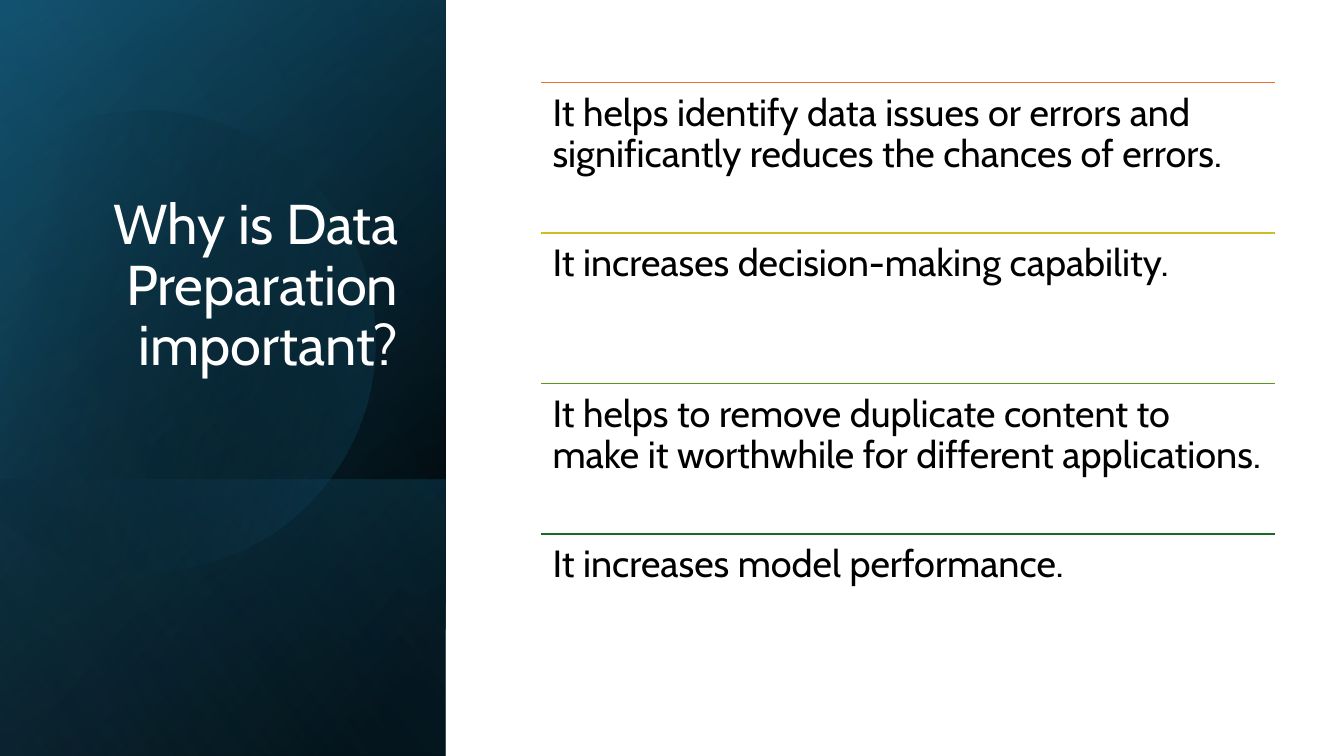
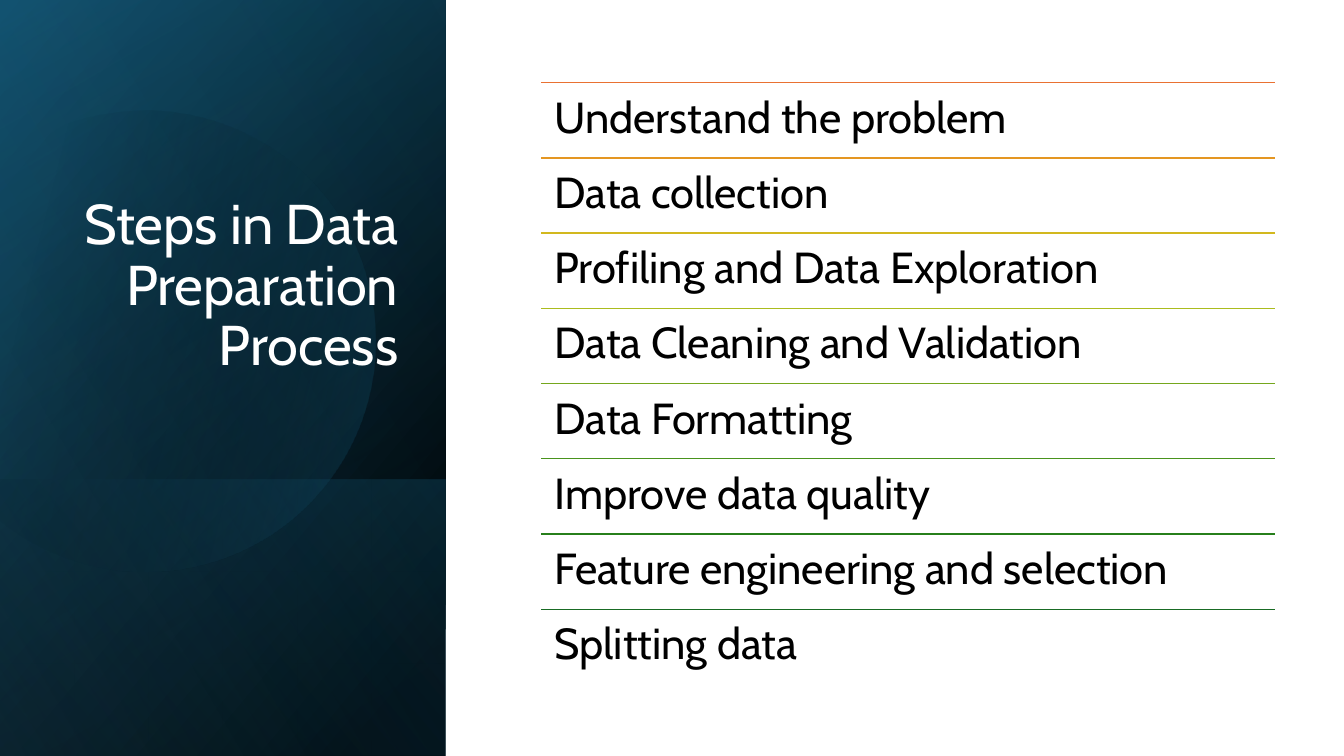
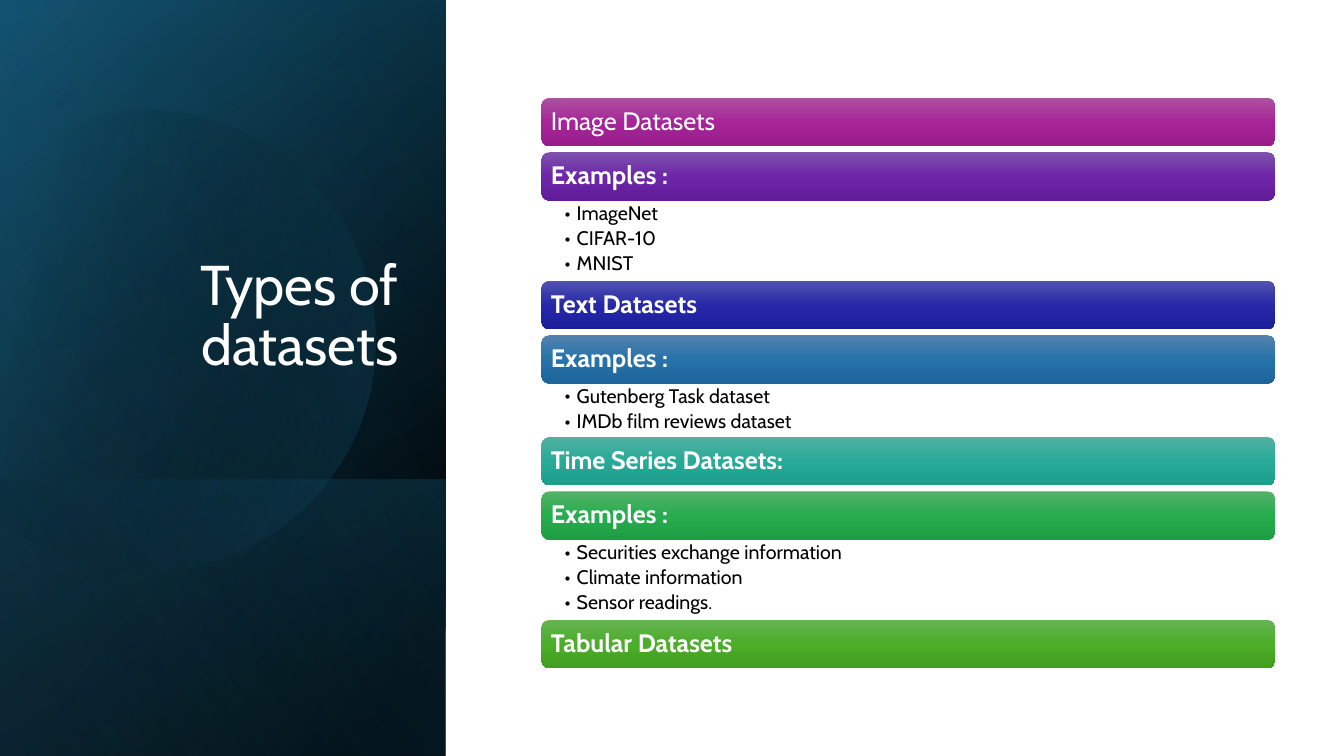
from dataclasses import dataclass
from math import cos, radians, sin
from typing import NamedTuple, Optional, Sequence

from lxml import etree
from pptx import Presentation
from pptx.dml.color import RGBColor
from pptx.enum.shapes import MSO_CONNECTOR, MSO_SHAPE
from pptx.enum.text import MSO_ANCHOR as Anchor
from pptx.enum.text import MSO_AUTO_SIZE, PP_ALIGN as Align
from pptx.oxml.ns import qn
from pptx.util import Inches, Pt


@dataclass(frozen=True)
class Theme:
    font: str = "Cabin"
    black: str = "000000"
    white: str = "FFFFFF"
    navy: str = "104862"
    teal: str = "156082"
    sky: str = "46B1E1"
    title_size: float = 40
    reason_size: float = 27
    step_size: float = 31
    bar_size: float = 18
    example_size: float = 14
    line_spacing: float = 0.9


class Stop(NamedTuple):
    position: int
    color: str
    alpha: int = 100


class Point(NamedTuple):
    x: float
    y: float


class Box(NamedTuple):
    left: float
    top: float
    width: float
    height: float

    def emu(self) -> list:
        return [Inches(length) for length in self]


class Panel(NamedTuple):
    box: Box
    angle: float
    stops: tuple


class Row(NamedTuple):
    color: str
    text: str


class Bar(NamedTuple):
    text: str
    colors: tuple
    examples: tuple = ()
    bold: bool = True


THEME = Theme()
CONTENT_LEFT, CONTENT_WIDTH = 5.37, 7.28
ROWS_TOP, ROWS_HEIGHT = 0.82, 5.97
BARS_TOP, BAR_HEIGHT, BAR_GAP, EXAMPLE_PITCH = 0.97, 0.48, 0.06, 0.265
TITLE_BOX = Box(0.64, 1.84, 3.41, 2.62)
TITLE_INSETS = (0.1, 0.05, 0.1, 0.71)
BAND = Box(-1.54, 1.54, 7.5, 4.42)
LOWER_BAND = Box(0.84, 3.92, 2.74, 4.42)

PANELS_BELOW_DISC = (
    Panel(BAND, 50, (Stop(8, THEME.black), Stop(100, THEME.navy))),
    Panel(BAND, 30, (Stop(0, THEME.black, 0), Stop(99, THEME.teal, 46))),
    Panel(LOWER_BAND, 130, (Stop(2, THEME.teal, 29), Stop(100, THEME.black, 30))),
)
PANEL_ABOVE_DISC = Panel(BAND, 120, (Stop(0, THEME.black, 0), Stop(99, THEME.sky, 11)))
DISC_STOPS = (Stop(29, THEME.black, 0), Stop(100, THEME.teal, 43))
DISC_CENTER, DISC_TILT = Point(1.58, 3.35), 16.1
DISC_CURVES = (
    Point(-0.15, 1.75),
    Point(0.27, 1.33), Point(0.8, 1.1), Point(1.49, 1.1),
    Point(2.46, 1.12), Point(3.35, 1.77), Point(3.63, 2.75),
    Point(3.98, 3.97), Point(3.28, 5.23), Point(2.07, 5.58),
    Point(1.31, 5.8), Point(0.47, 5.61), Point(-0.15, 5.03),
)

REASONS = (
    Row("E97132", "It helps identify data issues or errors and significantly reduces the chances of errors."),
    Row("CBC11E", "It increases decision-making capability."),
    Row("56991D", "It helps to remove duplicate content to make it worthwhile for different applications."),
    Row("196B24", "It increases model performance."),
)
STEPS = (
    Row("E97132", "Understand the problem"),
    Row("E49622", "Data collection"),
    Row("D2B81E", "Profiling and Data Exploration"),
    Row("ABBC1E", "Data Cleaning and Validation"),
    Row("75A71D", "Data Formatting"),
    Row("49931D", "Improve data quality"),
    Row("277F1B", "Feature engineering and selection"),
    Row("196B24", "Splitting data"),
)
DATASETS = (
    Bar("Image Datasets", ("AC53A0", "A62598", "991C8B"), bold=False),
    Bar("Examples :", ("7E53AD", "6D26A7", "611C9A"), ("ImageNet", "CIFAR-10", "MNIST")),
    Bar("Text Datasets", ("5354AE", "2628A8", "1D1E9B")),
    Bar("Examples :", ("5382AF", "2772A9", "1D669C"),
        ("Gutenberg Task dataset", "IMDb film reviews dataset")),
    Bar("Time Series Datasets:", ("53B0A1", "27AB98", "1D9D8B")),
    Bar("Examples :", ("54B269", "27AC4F", "1E9E44"),
        ("Securities exchange information", "Climate information", "Sensor readings.")),
    Bar("Tabular Datasets", ("66B354", "4BAD28", "409F1E")),
)


def write(frame, lines: Sequence[str], *, size: float, color: str = THEME.black,
          bold: bool = False, align: Align = Align.LEFT, anchor: Anchor = Anchor.TOP,
          insets: tuple = (0, 0, 0, 0), space_after: float = 0,
          bullet_indent: Optional[float] = None) -> None:
    frame.word_wrap = True
    frame.auto_size = MSO_AUTO_SIZE.NONE
    frame.vertical_anchor = anchor
    (frame.margin_left, frame.margin_top,
     frame.margin_right, frame.margin_bottom) = map(Inches, insets)
    for index, line in enumerate(lines):
        paragraph = frame.add_paragraph() if index else frame.paragraphs[0]
        if bullet_indent is not None:
            properties = paragraph._p.get_or_add_pPr()
            properties.set("marL", str(Inches(bullet_indent)))
            properties.set("indent", str(-Inches(bullet_indent)))
            etree.SubElement(properties, qn("a:buFont"), typeface=THEME.font)
            etree.SubElement(properties, qn("a:buChar"), char="•")
        paragraph.alignment = align
        paragraph.line_spacing = THEME.line_spacing
        paragraph.space_after = Pt(space_after)
        run = paragraph.add_run()
        run.text = line
        run.font.name = THEME.font
        run.font.size = Pt(size)
        run.font.bold = bold
        run.font.color.rgb = RGBColor.from_string(color)


def paint(shape, stops: Sequence[Stop], angle: float) -> None:
    shape.shadow.inherit = False
    shape.line.fill.background()
    shape.fill.gradient()
    gradient = shape.element.spPr.find(qn("a:gradFill"))
    gradient.find(qn("a:lin")).set("ang", str(int(angle * 60000)))
    stop_list = gradient.find(qn("a:gsLst"))
    for old_stop in list(stop_list):
        stop_list.remove(old_stop)
    for stop in stops:
        entry = etree.SubElement(stop_list, qn("a:gs"), pos=str(stop.position * 1000))
        color = etree.SubElement(entry, qn("a:srgbClr"), val=stop.color)
        if stop.alpha < 100:
            etree.SubElement(color, qn("a:alpha"), val=str(stop.alpha * 1000))


def add_panel(slide, panel: Panel) -> None:
    shape = slide.shapes.add_shape(MSO_SHAPE.RECTANGLE, *panel.box.emu())
    shape.rotation = 90
    shape.element.spPr.get_or_add_xfrm().set("flipH", "1")
    paint(shape, panel.stops, panel.angle)


def turn(point: Point, degrees: float) -> Point:
    dx, dy = point.x - DISC_CENTER.x, point.y - DISC_CENTER.y
    c, s = cos(radians(degrees)), sin(radians(degrees))
    return Point(DISC_CENTER.x + dx * c - dy * s, DISC_CENTER.y + dx * s + dy * c)


def curve_segments(shape) -> None:
    segments = list(shape.element.spPr.iter(qn("a:lnTo")))
    for start in range(0, len(DISC_CURVES) - 1, 3):
        curve = etree.Element(qn("a:cubicBezTo"))
        segments[start].addprevious(curve)
        for segment in segments[start:start + 3]:
            curve.append(segment[0])
            segment.getparent().remove(segment)


def add_disc(slide) -> None:
    outline = [turn(point, DISC_TILT) for point in DISC_CURVES]
    corners = [(Inches(point.x), Inches(point.y)) for point in outline]
    builder = slide.shapes.build_freeform(*corners[0], scale=1.0)
    builder.add_line_segments(corners[1:], close=True)
    disc = builder.convert_to_shape()
    curve_segments(disc)
    middle = turn(Point((disc.left + disc.width / 2) / Inches(1),
                        (disc.top + disc.height / 2) / Inches(1)), -DISC_TILT)
    disc.left = Inches(middle.x) - disc.width // 2
    disc.top = Inches(middle.y) - disc.height // 2
    disc.rotation = 360 - DISC_TILT
    paint(disc, DISC_STOPS, 30)


def add_titled_slide(deck, heading: str):
    slide = deck.slides.add_slide(deck.slide_layouts[5])
    for panel in PANELS_BELOW_DISC:
        add_panel(slide, panel)
    add_disc(slide)
    add_panel(slide, PANEL_ABOVE_DISC)
    title = slide.shapes.title
    title.left, title.top, title.width, title.height = TITLE_BOX.emu()
    write(title.text_frame, [heading], size=THEME.title_size, color=THEME.white,
          align=Align.RIGHT, anchor=Anchor.BOTTOM, insets=TITLE_INSETS)
    title.element.getparent().append(title.element)
    return slide


def add_rule(slide, top: float, color: str) -> None:
    rule = slide.shapes.add_connector(
        MSO_CONNECTOR.STRAIGHT, Inches(CONTENT_LEFT), Inches(top),
        Inches(CONTENT_LEFT + CONTENT_WIDTH), Inches(top))
    rule.line.color.rgb = RGBColor.from_string(color)
    rule.line.width = Pt(1)
    etree.SubElement(rule.element.spPr, qn("a:effectLst"))


def add_rows(slide, rows: Sequence[Row], size: float, inset: float) -> None:
    height = ROWS_HEIGHT / len(rows)
    for index, row in enumerate(rows):
        top = ROWS_TOP + index * height
        add_rule(slide, top, row.color)
        box = Box(CONTENT_LEFT, top, CONTENT_WIDTH, height)
        label = slide.shapes.add_textbox(*box.emu())
        write(label.text_frame, [row.text], size=size, insets=(inset,) * 4)


def add_bars(slide, bars: Sequence[Bar]) -> None:
    top = BARS_TOP
    for bar in bars:
        box = Box(CONTENT_LEFT, top, CONTENT_WIDTH, BAR_HEIGHT)
        shape = slide.shapes.add_shape(MSO_SHAPE.ROUNDED_RECTANGLE, *box.emu())
        paint(shape, [Stop(50 * i, color) for i, color in enumerate(bar.colors)], 90)
        write(shape.text_frame, [bar.text], size=THEME.bar_size, color=THEME.white,
              bold=bar.bold, anchor=Anchor.MIDDLE, insets=(0.07, 0.05, 0.07, 0.05))
        top += BAR_HEIGHT
        if not bar.examples:
            top += BAR_GAP
            continue
        height = EXAMPLE_PITCH * len(bar.examples)
        box = Box(CONTENT_LEFT, top, CONTENT_WIDTH, height)
        examples = slide.shapes.add_textbox(*box.emu())
        write(examples.text_frame, bar.examples, size=THEME.example_size,
              insets=(0.23, 0.03, 0.14, 0.03), space_after=2.8, bullet_indent=0.12)
        top += height


def main() -> None:
    deck = Presentation()
    deck.slide_width, deck.slide_height = Inches(13.33), Inches(7.5)
    importance = add_titled_slide(deck, "Why is Data Preparation important?")
    add_rows(importance, REASONS, THEME.reason_size, 0.11)
    process = add_titled_slide(deck, "Steps in Data Preparation Process")
    add_rows(process, STEPS, THEME.step_size, 0.13)
    datasets = add_titled_slide(deck, "Types of datasets")
    add_bars(datasets, DATASETS)
    deck.save("out.pptx")


if __name__ == "__main__":
    main()
